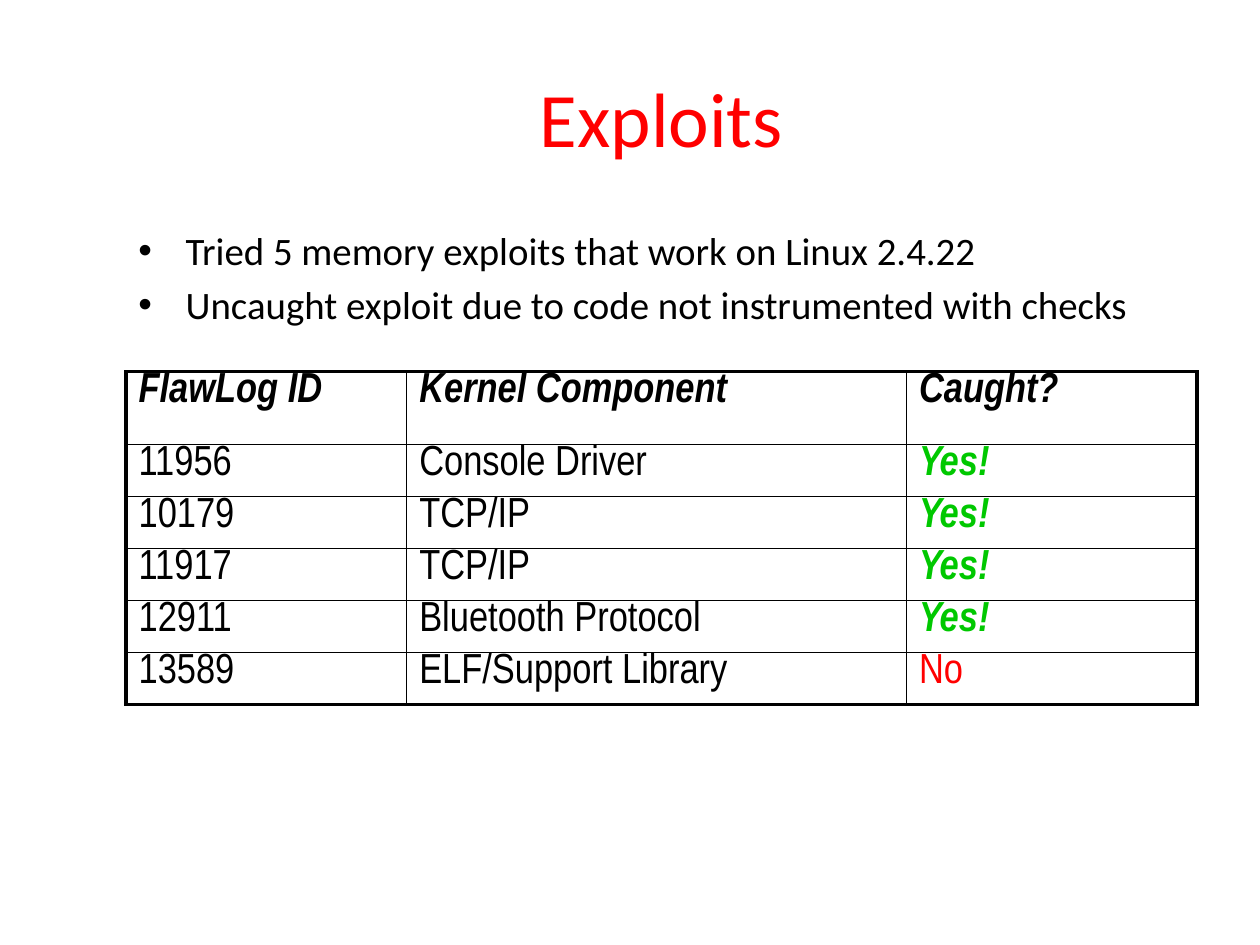
"""Build the slide on exploits caught in the kernel."""
from lxml.etree import SubElement
from pptx import Presentation
from pptx.dml.color import RGBColor
from pptx.enum.text import MSO_ANCHOR, PP_ALIGN
from pptx.oxml.ns import qn
from pptx.util import Pt

COLORS = {"black": "000000", "red": "FF0000", "green": "00C800"}
BULLETS = [
    "Tried 5 memory exploits that work on Linux 2.4.22",
    "Uncaught exploit due to code not instrumented with checks",
]
ROWS = [
    ("FlawLog ID", "Kernel Component", "Caught?"),
    ("11956", "Console Driver", "Yes!"),
    ("10179", "TCP/IP", "Yes!"),
    ("11917", "TCP/IP", "Yes!"),
    ("12911", "Bluetooth Protocol", "Yes!"),
    ("13589", "ELF/Support Library", "No"),
]
COLUMN_WIDTHS = [160.4, 285.6, 166]
HEADER_HEIGHT, ROW_HEIGHT = 41.7, 29.7
LEFT, WIDTH = 72, 612
ANSWER_COLORS = {"Yes!": "green", "No": "red"}


def style(para, font_name, size, color, strong=False):
    for span in para.runs:
        span.font.name = font_name
        span.font.size = Pt(size)
        span.font.bold = span.font.italic = strong
        span.font.color.rgb = RGBColor.from_string(COLORS[color])


def add_border(cell, side, width):
    line = SubElement(cell._tc.get_or_add_tcPr(), qn(f"a:ln{side}"), w=str(Pt(width)))
    fill = SubElement(line, qn("a:solidFill"))
    SubElement(fill, qn("a:srgbClr"), val=COLORS["black"])


deck = Presentation()
deck.slide_width, deck.slide_height = Pt(720), Pt(540)
page = deck.slides.add_slide(deck.slide_layouts[6])

title = page.shapes.add_textbox(Pt(LEFT), Pt(21.6), Pt(WIDTH), Pt(90)).text_frame
title.word_wrap = True
title.vertical_anchor = MSO_ANCHOR.MIDDLE
title.text = "Exploits"
title.paragraphs[0].alignment = PP_ALIGN.CENTER
style(title.paragraphs[0], "Calibri", 44, "red")

body = page.shapes.add_textbox(Pt(LEFT), Pt(126), Pt(WIDTH), Pt(86.4)).text_frame
body.word_wrap = True
body.text = "\n".join(BULLETS)
for index, para in enumerate(body.paragraphs):
    properties = para._p.get_or_add_pPr()
    properties.set("marL", str(Pt(27)))
    properties.set("indent", str(Pt(-27)))
    SubElement(properties, qn("a:buFont"), typeface="Arial")
    SubElement(properties, qn("a:buChar"), char="•")
    if index:
        para.space_before = Pt(4.4)
    style(para, "Calibri", 22.2, "black")

table_height = HEADER_HEIGHT + ROW_HEIGHT * (len(ROWS) - 1)
table = page.shapes.add_table(
    len(ROWS), len(COLUMN_WIDTHS), Pt(LEFT), Pt(212.4), Pt(WIDTH), Pt(table_height)
).table
table.first_row = table.horz_banding = False
for column, width in zip(table.columns, COLUMN_WIDTHS):
    column.width = Pt(width)

last_row, last_column = len(ROWS) - 1, len(COLUMN_WIDTHS) - 1
for row_index, texts in enumerate(ROWS):
    table.rows[row_index].height = Pt(ROW_HEIGHT if row_index else HEADER_HEIGHT)
    for column_index, text in enumerate(texts):
        cell = table.cell(row_index, column_index)
        cell.margin_top = cell.margin_bottom = Pt(0)
        cell.text = text
        strong = row_index == 0 or text == "Yes!"
        color = ANSWER_COLORS.get(text, "black")
        style(cell.text_frame.paragraphs[0], "Arial Narrow", 24, color, strong)
        outer_sides = {
            "L": column_index == 0,
            "R": column_index == last_column,
            "T": row_index == 0,
            "B": row_index == last_row,
        }
        for side, is_outer in outer_sides.items():
            add_border(cell, side, 2.25 if is_outer else 1)
        cell.fill.background()

deck.save("out.pptx")
